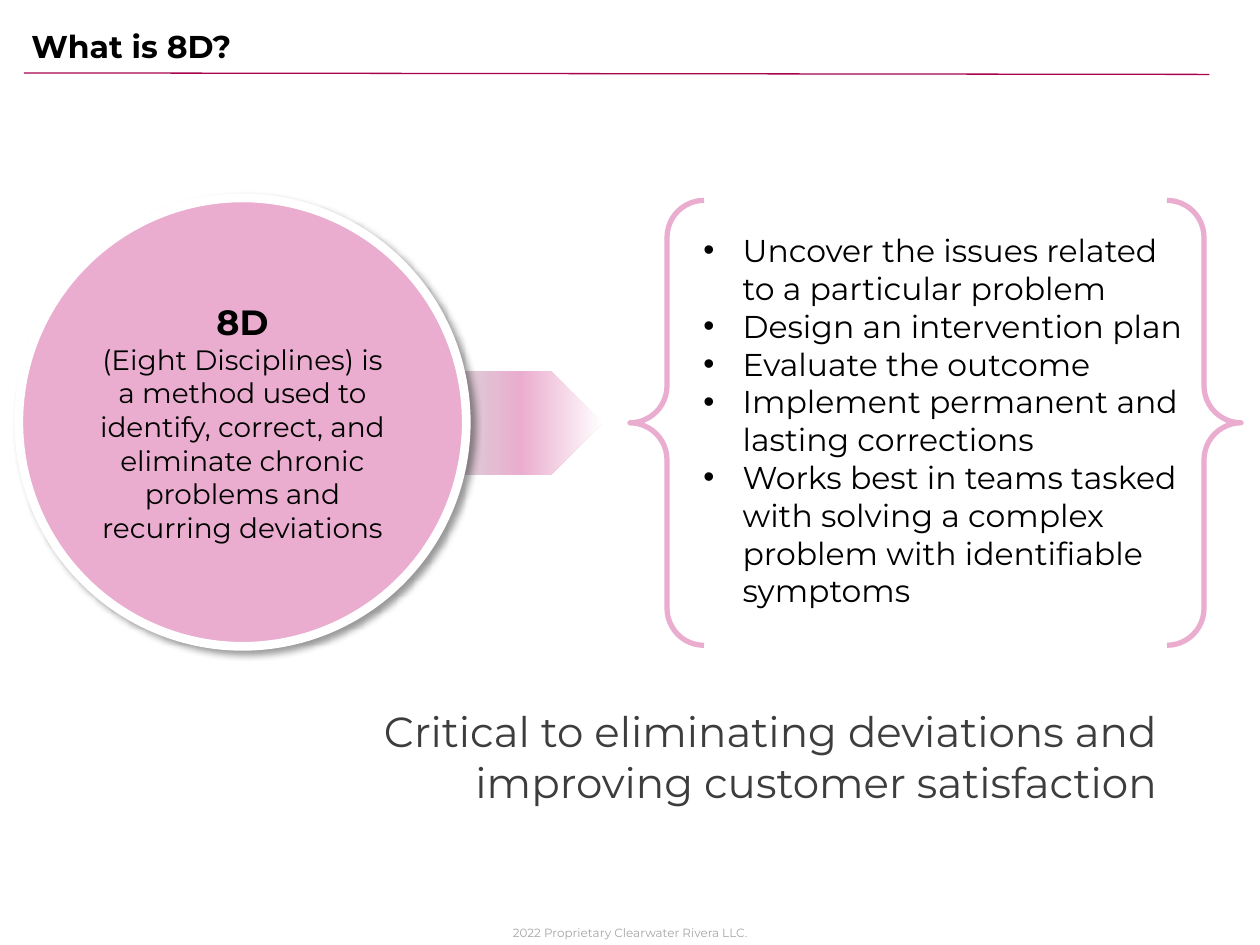
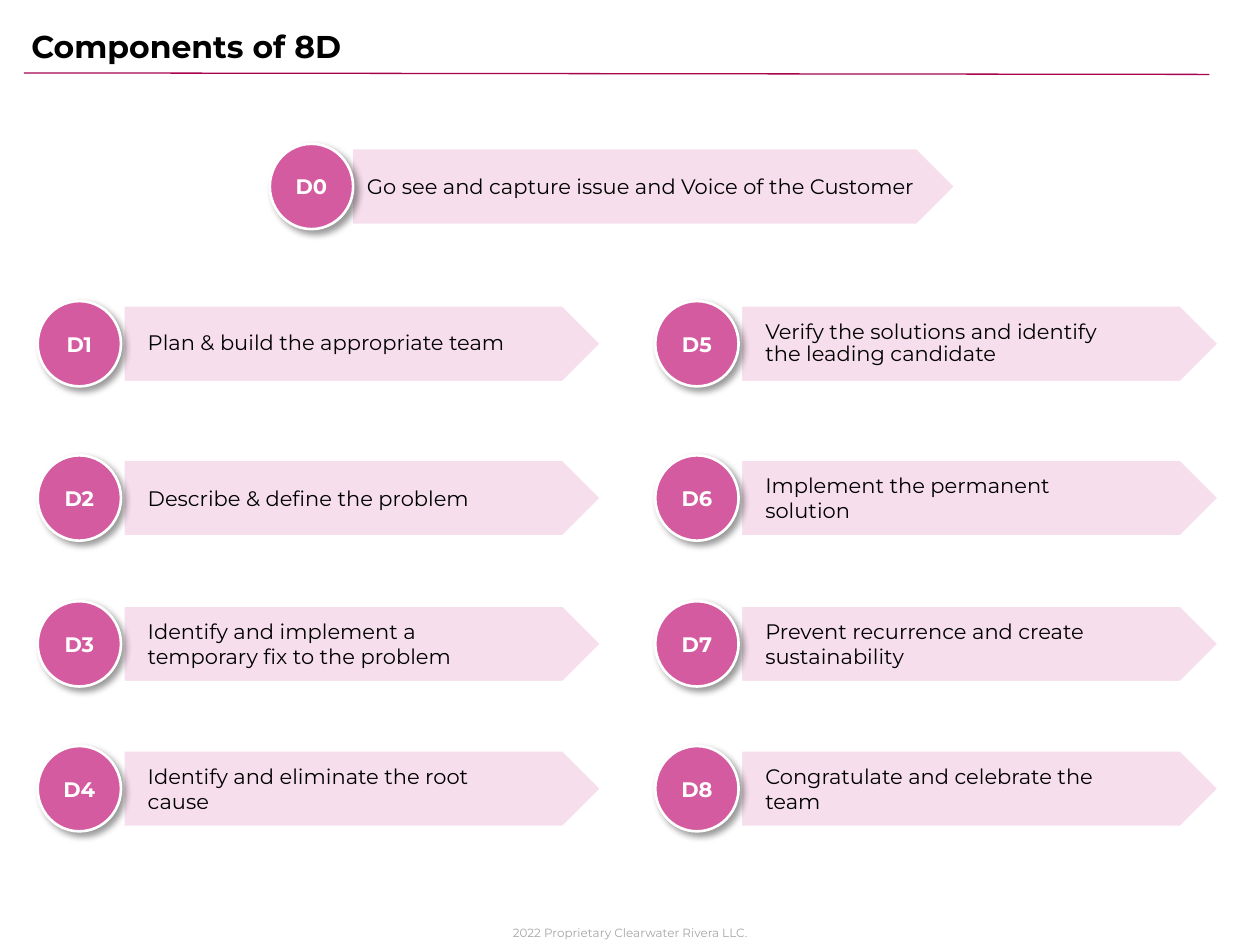
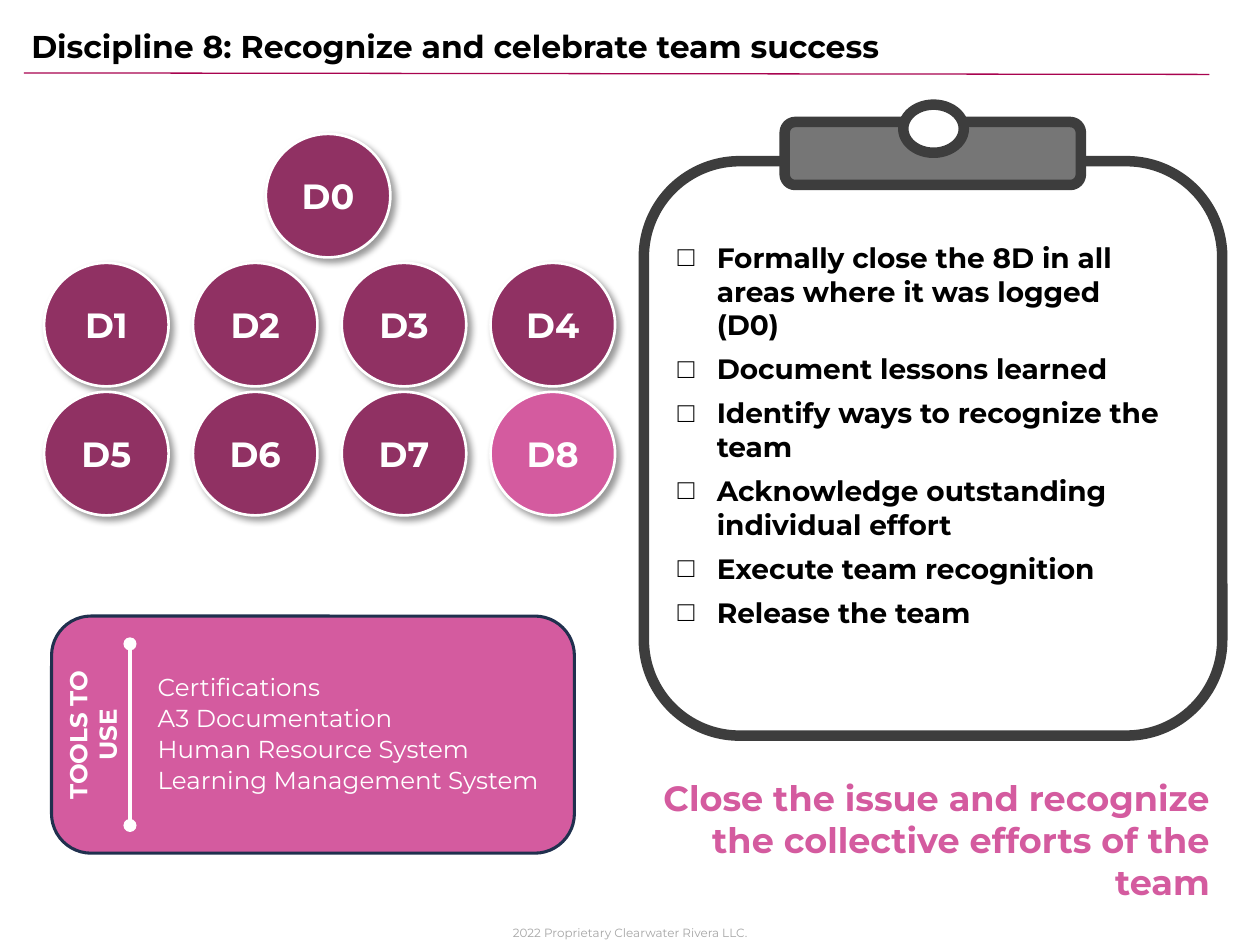
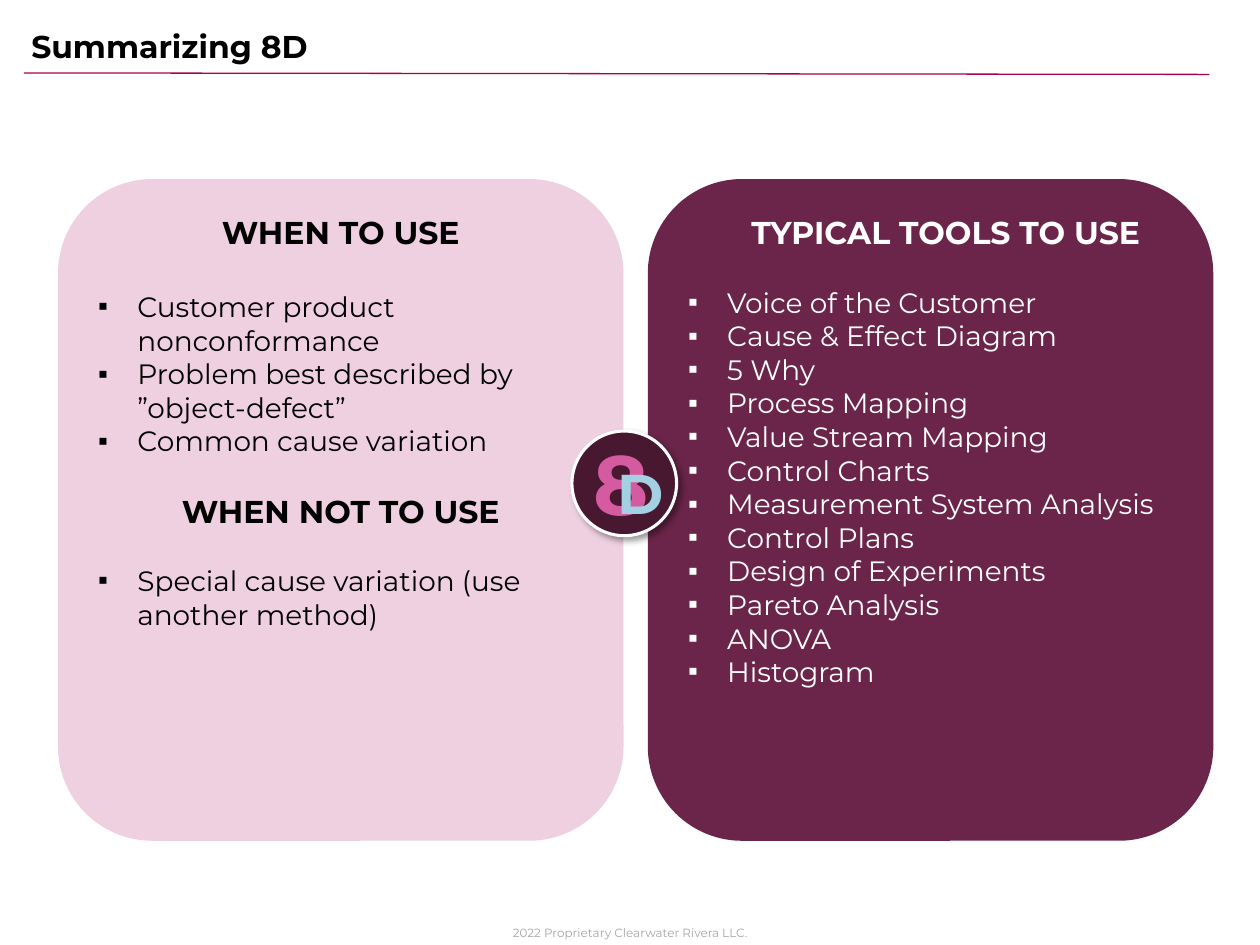
from dataclasses import dataclass

from pptx import Presentation
from pptx.dml.color import RGBColor
from pptx.enum.shapes import MSO_CONNECTOR, MSO_SHAPE
from pptx.enum.text import MSO_ANCHOR, MSO_AUTO_SIZE, PP_ALIGN
from pptx.oxml import parse_xml
from pptx.oxml.ns import nsdecls, qn
from pptx.util import Cm, Pt

LEFT, CENTER, RIGHT = PP_ALIGN.LEFT, PP_ALIGN.CENTER, PP_ALIGN.RIGHT
TOP, MIDDLE = MSO_ANCHOR.TOP, MSO_ANCHOR.MIDDLE
ELLIPSE, ROUNDED = MSO_SHAPE.OVAL, MSO_SHAPE.ROUNDED_RECTANGLE
ARROW, BRACES = MSO_SHAPE.PENTAGON, MSO_SHAPE.DOUBLE_BRACE
STRAIGHT = MSO_CONNECTOR.STRAIGHT
NO_AUTOFIT = MSO_AUTO_SIZE.NONE

TITLE_ONLY, ONE_LIST, TWO_LISTS = 5, 1, 3  # template layouts
DEFAULT_INSETS = (0.25, 0.13, 0.25, 0.13)
HANGING = 0.79


@dataclass(frozen=True)
class Theme:
    font: str = "Montserrat"
    # Colours
    black: str = "000000"
    white: str = "FFFFFF"
    rule: str = "A8034F"
    footer: str = "A6A6A6"
    charcoal: str = "3D3D3D"
    gray: str = "767676"
    silver: str = "D8D8D8"
    navy: str = "20304E"
    pink: str = "EAADCF"
    pale_pink: str = "F6DEEC"
    panel_pink: str = "EFD0E0"
    rose: str = "D45B9F"
    plum: str = "903163"
    dark_plum: str = "6C254A"
    deep_plum: str = "481831"
    sky: str = "A3D0E2"
    # Type sizes
    tiny: float = 6.8
    label: float = 12
    tool: float = 14
    body: float = 16
    heading: float = 18
    large: float = 20
    statement: float = 24
    letter: float = 32
    numeral: float = 48


THEME = Theme()


@dataclass(frozen=True)
class Line:
    """One paragraph; the margin is in centimetres."""
    text: str
    size: float = THEME.body
    color: str = THEME.black
    bold: bool = False
    align: PP_ALIGN = LEFT
    bullet: str = ""
    before: float = 0
    after: float = 0
    spacing: float = 1.0
    margin: float = 0


def lines(texts, **style):
    return [Line(text, **style) for text in texts]


class Deck:
    def __init__(self, theme):
        self.theme = theme
        self.presentation = Presentation()
        self.presentation.slide_width = Cm(25.4)
        self.presentation.slide_height = Cm(19.05)
        self.slide = None

    # Slides and shared parts
    def start_slide(self, title, layout, title_width=19.4):
        is_first = self.slide is None
        self.slide = self.presentation.slides.add_slide(self.presentation.slide_layouts[layout])
        if is_first:
            self.add_shared_parts()
        placeholder = self.slide.shapes.title
        self.place(placeholder, (0.38, 0.41, title_width, 1.02))
        self.set_lines(placeholder, [Line(title, self.theme.heading, bold=True)])

    def add_shared_parts(self):
        """Draw the footer and title rule, then move them to the master."""
        footer = self.add_text(
            (9.86, 18.52, 5.69, 0.53),
            [Line("2022 Proprietary Clearwater Rivera LLC.", self.theme.tiny,
                  self.theme.footer, align=CENTER)])
        rule = self.add_line((0.48, 1.47), (24.38, 1.5), self.theme.rule, 0.75)
        for number, shape in enumerate((footer, rule), start=101):
            shape.element.xpath(".//p:cNvPr")[0].set("id", str(number))
            self.presentation.slide_master.shapes.element.append(shape.element)

    # Formatting
    @staticmethod
    def place(shape, box):
        shape.left, shape.top, shape.width, shape.height = (Cm(value) for value in box)

    def set_lines(self, shape, content, anchor=TOP, insets=DEFAULT_INSETS):
        frame = shape.text_frame
        frame.text = "\n".join(line.text for line in content)
        frame.word_wrap = True
        frame.auto_size = NO_AUTOFIT
        frame.vertical_anchor = anchor
        (frame.margin_left, frame.margin_top,
         frame.margin_right, frame.margin_bottom) = (Cm(value) for value in insets)
        for paragraph, line in zip(frame.paragraphs, content):
            self.format_paragraph(paragraph, line)

    def format_paragraph(self, paragraph, line):
        paragraph.alignment = line.align
        paragraph.space_before = Pt(line.before)
        paragraph.space_after = Pt(line.after)
        paragraph.line_spacing = line.spacing
        hanging = HANGING if line.bullet else 0
        properties = paragraph._p.get_or_add_pPr()
        properties.set("marL", str(Cm(line.margin + hanging)))
        properties.set("indent", str(-Cm(hanging)))
        if line.bullet:
            properties.append(parse_xml(f'<a:buFont {nsdecls("a")} typeface="Arial"/>'))
            properties.append(parse_xml(f'<a:buChar {nsdecls("a")} char="{line.bullet}"/>'))
        else:
            properties.append(parse_xml(f'<a:buNone {nsdecls("a")}/>'))
        for run in paragraph.runs:
            run.font.name = self.theme.font
            run.font.size = Pt(line.size)
            run.font.bold = line.bold
            run.font.color.rgb = RGBColor.from_string(line.color)

    # Elements
    def add_shape(self, kind, box, fill=None, outline=None, width=1.0,
                  content=(), shadow=False):
        shape = self.slide.shapes.add_shape(kind, *(Cm(value) for value in box))
        shape.shadow.inherit = False
        if fill:
            shape.fill.solid()
            shape.fill.fore_color.rgb = RGBColor.from_string(fill)
        else:
            shape.fill.background()
        if outline:
            shape.line.color.rgb = RGBColor.from_string(outline)
            shape.line.width = Pt(width)
        else:
            shape.line.fill.background()
        if shadow:
            effects = shape.element.spPr.find(qn("a:effectLst"))
            effects.append(parse_xml(
                f'<a:outerShdw {nsdecls("a")} blurRad="{Pt(4)}" dist="{Pt(3)}" '
                f'dir="2700000" algn="tl" rotWithShape="0"><a:srgbClr val="{self.theme.black}">'
                '<a:alpha val="40000"/></a:srgbClr></a:outerShdw>'))
        if content:
            self.set_lines(shape, content, MIDDLE)
        return shape

    def add_circle(self, box, fill, content=(), width=1.5):
        return self.add_shape(ELLIPSE, box, fill, self.theme.white, width, content, shadow=True)

    def add_disc(self, name, box, fill, size):
        self.add_circle(box, fill, [Line(name, size, self.theme.white, True, CENTER)])

    def add_gradient_arrow(self, box, stops):
        arrow = self.add_shape(ARROW, box)
        arrow.fill.gradient()
        arrow.fill.gradient_angle = 0
        stop_list = arrow.element.spPr.find(qn("a:gradFill")).find(qn("a:gsLst"))
        stop_list.clear()
        for position, color in stops:
            stop_list.append(parse_xml(
                f'<a:gs {nsdecls("a")} pos="{position * 1000}"><a:srgbClr val="{color}"/></a:gs>'))

    def add_text(self, box, content, insets=DEFAULT_INSETS):
        text_box = self.slide.shapes.add_textbox(*(Cm(value) for value in box))
        self.set_lines(text_box, content, insets=insets)
        return text_box

    def add_list(self, index, box, content, anchor=TOP, insets=DEFAULT_INSETS):
        """Fill a body placeholder and bring it to the front."""
        placeholder = self.slide.placeholders[index]
        self.place(placeholder, box)
        self.set_lines(placeholder, content, anchor, insets)
        self.slide.shapes.element.append(placeholder.element)

    def add_line(self, start, end, color, width, dots=False):
        connector = self.slide.shapes.add_connector(
            STRAIGHT, *(Cm(value) for value in start + end))
        connector.line.color.rgb = RGBColor.from_string(color)
        connector.line.width = Pt(width)
        properties = connector.element.spPr
        if dots:
            for end_name in ("headEnd", "tailEnd"):
                properties.find(qn("a:ln")).append(
                    parse_xml(f'<a:{end_name} {nsdecls("a")} type="oval"/>'))
        properties.append(parse_xml(f'<a:effectLst {nsdecls("a")}/>'))
        return connector


def build_definition(deck):
    theme = deck.theme
    deck.start_slide("What is 8D?", ONE_LIST)
    deck.add_text((5.13, 14.1, 18.44, 2.31), [
        Line("Critical to eliminating deviations and improving customer satisfaction",
             theme.statement, theme.charcoal, align=RIGHT)])

    # Definition circle pointing at the goals
    deck.add_gradient_arrow((8.97, 7.47, 3.18, 2.11),
                            [(0, theme.silver), (48, theme.pink), (100, theme.white)])
    deck.add_circle((0.38, 3.99, 9.02, 9.04), theme.pink, [
        Line("8D", theme.large, bold=True, align=CENTER),
        Line("(Eight Disciplines) is a method used to identify, correct, and eliminate "
             "chronic problems and recurring deviations", align=CENTER),
    ], width=5)

    # Goals in braces
    deck.add_shape(BRACES, (12.7, 4.04, 12.32, 8.97), outline=theme.pink, width=3)
    goals = lines([
        "Uncover the issues related to a particular problem",
        "Design an intervention plan",
        "Evaluate the outcome",
        "Implement permanent and lasting corrections",
        "Works best in teams tasked with solving a complex problem with identifiable symptoms",
    ], size=theme.heading, bullet="•")
    deck.add_list(1, (13.67, 4.27, 10.39, 8.53), goals, MIDDLE, (0.51, 0, 0, 0.13))


def add_step(deck, name, text, center, circle_left, arrow, label, **style):
    """Arrow, label and disc on one centre line; arrow and label are (left, width)."""
    theme = deck.theme
    deck.add_shape(ARROW, (arrow[0], center - 0.8, arrow[1], 1.6),
                   theme.pale_pink, theme.white, 3)
    caption = deck.add_shape(ROUNDED, (label[0], center - 0.67, label[1], 1.34),
                             content=[Line(text, theme.label, **style)])
    caption.adjustments[0] = 0.1
    deck.add_disc(name, (circle_left, center - 0.86, 1.68, 1.72), theme.rose, theme.label)


def build_components(deck):
    deck.start_slide("Components of 8D", TITLE_ONLY)
    add_step(deck, "D0", "Go see and capture issue and Voice of the Customer",
             3.76, 5.44, (7.06, 12.24), (7.11, 11.76))

    # Two columns of four steps
    row_centers = (6.93, 10.04, 12.98, 15.9)
    steps = (
        "Plan & build the appropriate team",
        "Describe & define the problem",
        "Identify and implement a temporary fix to the problem",
        "Identify and eliminate the root cause",
        "Verify the solutions and identify the leading candidate",
        "Implement the permanent solution",
        "Prevent recurrence and create sustainability",
        "Congratulate and celebrate the team",
    )
    for index, text in enumerate(steps):
        column, row = divmod(index, len(row_centers))
        shift = 12.45 * column
        style = {"spacing": 0.9, "after": 4} if row == 0 else {}
        add_step(deck, f"D{index + 1}", text, row_centers[row], 0.76 + shift,
                 (2.46 + shift, 9.7), (2.69 + shift, 7.92), **style)


def build_recognition(deck):
    theme = deck.theme
    deck.start_slide("Discipline 8: Recognize and celebrate team success", TWO_LISTS)

    # Clipboard with checklist
    deck.add_shape(ROUNDED, (12.98, 3.25, 11.66, 11.58), outline=theme.charcoal, width=6)
    deck.add_shape(ROUNDED, (15.82, 2.46, 5.97, 1.27), theme.gray, theme.charcoal, 6)
    deck.add_shape(ELLIPSE, (18.21, 2.11, 1.22, 0.97), theme.white, theme.charcoal, 6)
    checklist = lines([
        "Formally close the 8D in all areas where it was logged (D0)",
        "Document lessons learned",
        "Identify ways to recognize the team",
        "Acknowledge outstanding individual effort",
        "Execute team recognition",
        "Release the team",
    ], bold=True, bullet="□", before=6)
    deck.add_list(1, (13.41, 4.72, 10.39, 8.15), checklist)

    # Discipline discs, the current one highlighted
    for number in range(9):
        row, column = divmod(number + 3, 4)
        left = 0.89 + 3 * column if number else 5.36
        fill = theme.rose if number == 8 else theme.plum
        deck.add_disc(f"D{number}", (left, 2.7 + 2.6 * row, 2.51, 2.49), fill, theme.large)

    deck.add_text((12.98, 15.52, 11.66, 2.82), [
        Line("Close the issue and recognize the collective efforts of the team",
             theme.large, theme.rose, True, RIGHT)])

    # Tools card
    deck.add_shape(ROUNDED, (1.04, 12.42, 10.54, 4.78), theme.rose, theme.navy, 1.75)
    card_label = deck.add_text(
        (1.27, 12.98, 1.19, 3.68),
        [Line("TOOLS TO USE", theme.tool, theme.white, True, CENTER)], (0, 0, 0, 0))
    card_label.element.xpath(".//a:bodyPr")[0].set("vert", "vert270")
    tools = lines(["Certifications", "A3 Documentation", "Human Resource System",
                   "Learning Management System"],
                  size=theme.tool, color=theme.white, before=1)
    deck.add_list(2, (3.05, 13.41, 8.28, 2.77), tools, insets=(0.13,) * 4)
    deck.add_line((2.62, 12.98), (2.62, 16.64), theme.white, 2.5, dots=True)


def build_summary(deck):
    theme = deck.theme
    deck.start_slide("Summarizing 8D", TWO_LISTS, title_width=24.71)
    heading = {"size": theme.heading, "bold": True, "align": CENTER}
    bullet = {"bullet": "▪"}
    gap = 19.5

    uses = [
        Line("WHEN TO USE", after=22, **heading),
        *lines(["Customer product nonconformance",
                "Problem best described by ”object-defect”",
                "Common cause variation"], **bullet),
        Line("WHEN NOT TO USE", before=gap, after=gap, **heading),
        Line("Special cause variation (use another method)", **bullet),
    ]
    tools = [
        Line("TYPICAL TOOLS TO USE", color=theme.white, margin=0.61, after=gap, **heading),
        *lines(["Voice of the Customer", "Cause & Effect Diagram", "5 Why",
                "Process Mapping", "Value Stream Mapping", "Control Charts",
                "Measurement System Analysis", "Control Plans",
                "Design of Experiments", "Pareto Analysis", "ANOVA", "Histogram"],
               color=theme.white, **bullet),
    ]

    # Two panels, each with its list inside the rounded corners
    panel_top, panel_width, panel_height, corner = 3.61, 11.4, 13.34, 0.56
    panels = ((1.17, theme.panel_pink, uses), (13.06, theme.dark_plum, tools))
    for index, (left, fill, content) in enumerate(panels, start=1):
        deck.add_shape(ROUNDED, (left, panel_top, panel_width, panel_height), fill)
        deck.add_list(index, (left + corner, panel_top + corner, panel_width - 2 * corner,
                              panel_height - 2 * corner), content)

    # 8D badge
    deck.add_circle((11.53, 8.69, 2.11, 2.11), theme.deep_plum, width=1.75)
    deck.add_text((11.71, 8.56, 1.24, 2.31), [Line("8", theme.numeral, theme.rose, True)])
    deck.add_text((12.19, 9.12, 1.24, 1.63), [Line("D", theme.letter, theme.sky, True)])


def main():
    deck = Deck(THEME)
    build_definition(deck)
    build_components(deck)
    build_recognition(deck)
    build_summary(deck)
    deck.presentation.save("out.pptx")


if __name__ == "__main__":
    main()
